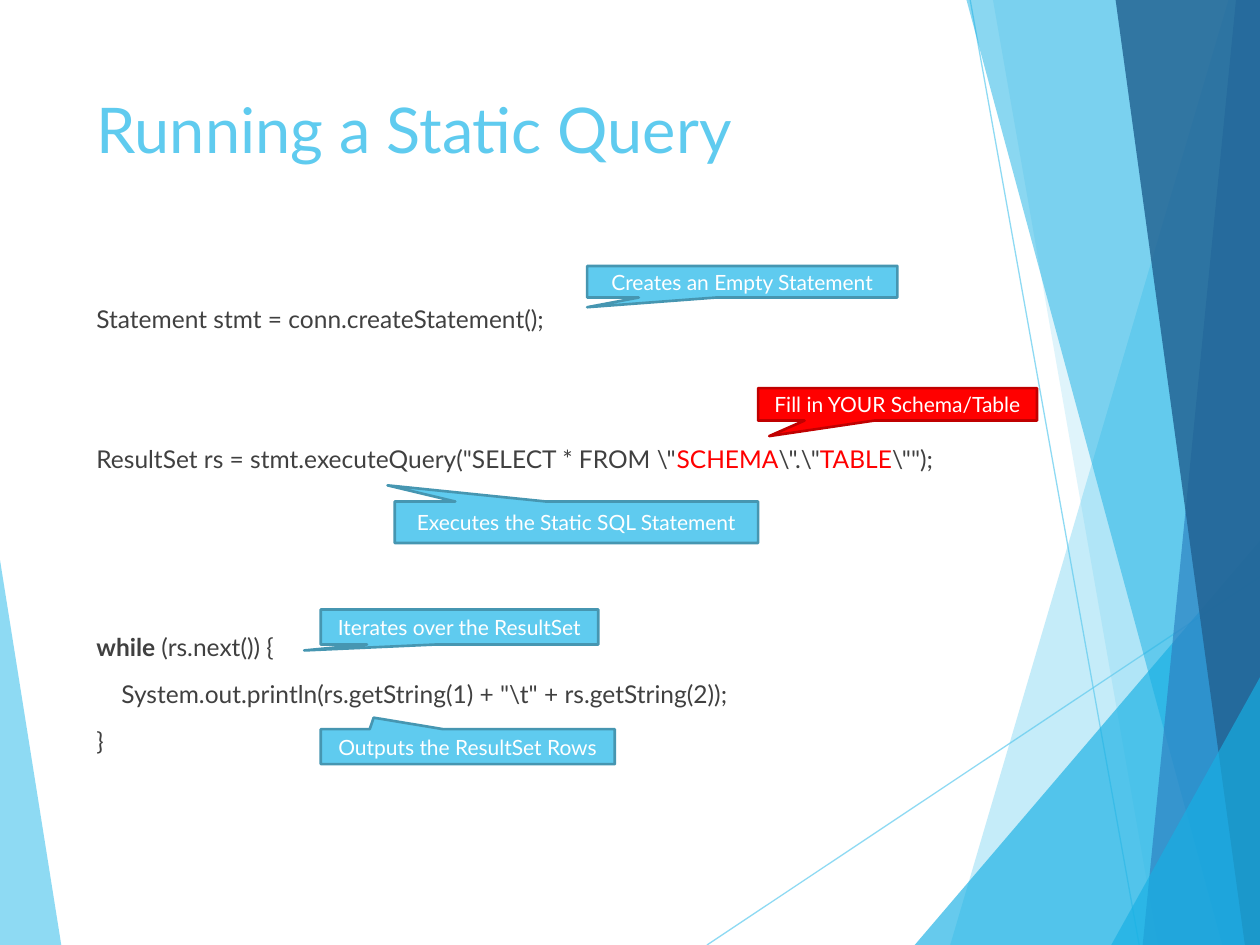
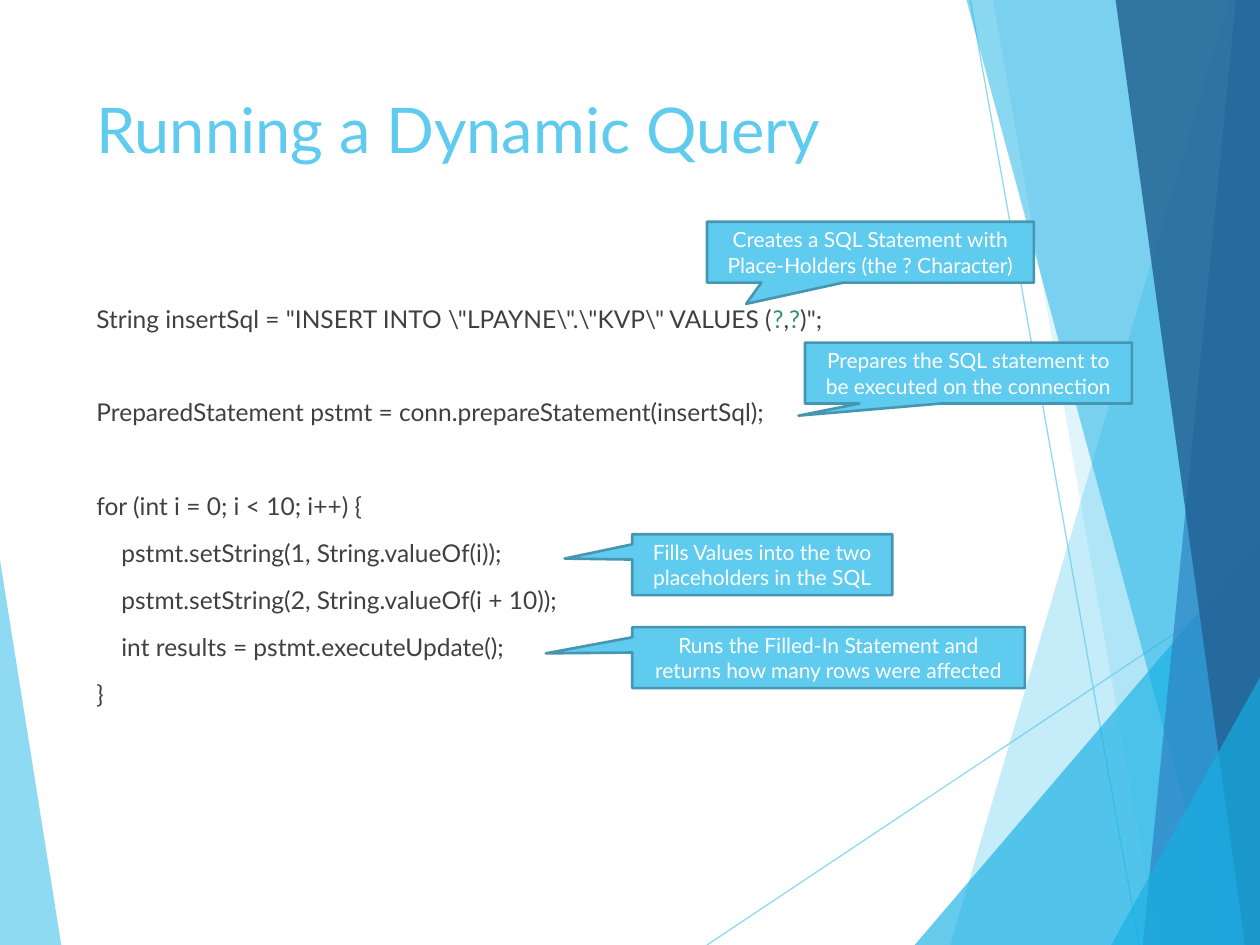
from pptx import Presentation
from pptx.dml.color import RGBColor
from pptx.enum.shapes import MSO_CONNECTOR, MSO_SHAPE
from pptx.enum.text import MSO_ANCHOR, MSO_AUTO_SIZE, PP_ALIGN
from pptx.oxml.ns import qn
from pptx.util import Pt
from lxml.etree import SubElement

COLORS = {
    "sky": "5FCBEF", "cyan": "17B0E4", "blue": "2E83C3", "navy": "226292",
    "sky_edge": "4696B1", "red": "FF0000", "red_edge": "C00000",
    "green": "2E946B", "code": "404040", "white": "FFFFFF",
}
RIGHT, BOTTOM = 720, 540
CODE_SIZE, CODE_GAP = 14, 10
CODE_PITCH = CODE_SIZE * 1.2 + CODE_GAP
INDENT = 14.3


def write(paragraph, text, size=CODE_SIZE, color="code", bold=False, align=PP_ALIGN.LEFT):
    paragraph.alignment = align
    run = paragraph.add_run()
    run.text = text
    run.font.name = "Lato"
    run.font.size = Pt(size)
    run.font.bold = bold
    run.font.color.rgb = RGBColor.from_string(COLORS[color])


def set_opacity(shape, percent):
    for color in shape._element.spPr.iter(qn("a:srgbClr")):
        SubElement(color, qn("a:alpha"), val=str(percent * 1000))


# Shared decoration, back to front: colour, opacity, corner points
RIGHT_EDGE = [(RIGHT, BOTTOM), (RIGHT, 0)]
FACETS = [
    ("sky", 70, [(0, 320), (35, BOTTOM), (0, BOTTOM)]),
    ("sky", 36, [(702, 0), (543, BOTTOM)] + RIGHT_EDGE),
    ("sky", 20, [(567.4, 0), (661.7, BOTTOM)] + RIGHT_EDGE),
    ("cyan", 66, [(522.7, BOTTOM), (RIGHT, 309), (RIGHT, BOTTOM)]),
    ("cyan", 50, [(552.3, 0), (698.4, BOTTOM)] + RIGHT_EDGE),
    ("blue", 70, [(706.3, 0), (653, BOTTOM)] + RIGHT_EDGE),
    ("navy", 82, [(637.5, 0), (711.4, BOTTOM)] + RIGHT_EDGE),
    ("cyan", 66, [(635, BOTTOM), (RIGHT, 387), (RIGHT, BOTTOM)]),
]
RAYS = [(404, BOTTOM, RIGHT, 329.5), (554.4, 0, 651, BOTTOM)]

# Code lines: blank lines above, indent level, runs
# Callouts: text, box (left, top, width, height), pointer tip, colour
RED, GREEN, BOLD = {"color": "red"}, {"color": "green"}, {"bold": True}
SLIDES = [
    {
        "title": "Running a Static Query",
        "code": [
            (0, 0, [("Statement stmt = conn.createStatement();", {})]),
            (2, 0, [('ResultSet rs = stmt.executeQuery("SELECT * FROM \\"', {}),
                    ("SCHEMA", RED), ('\\".\\"', {}), ("TABLE", RED), ('\\"");', {})]),
            (3, 0, [("while ", BOLD), ("(rs.next()) {", {})]),
            (0, 1, [('System.out.println(rs.getString(1) + "\\t" + rs.getString(2));', {})]),
            (0, 0, [("}", {})]),
        ],
        "callouts": [
            ("Creates an Empty Statement", (335.5, 152, 177.3, 18), (-0.5, 0.81), "sky"),
            ("Fill in YOUR Schema/Table", (433.2, 221.8, 159.4, 18.5), (-0.46, 0.98), "red"),
            ("Executes the Static SQL Statement", (225.6, 286.6, 207.6, 23.7), (-0.52, -0.89), "sky"),
            ("Iterates over the ResultSet", (183.3, 348.3, 158.6, 20), (-0.56, 0.67), "sky"),
            ("Outputs the ResultSet Rows", (183.3, 416.7, 168, 20), (-0.32, -0.83), "sky"),
        ],
    },
    {
        "title": "Running a Dynamic Query",
        "code": [
            (0, 0, [('String insertSql = "INSERT INTO \\"LPAYNE\\".\\"KVP\\" VALUES (', {}),
                    ("?", GREEN), (",", {}), ("?", GREEN), (')";', {})]),
            (1, 0, [("PreparedStatement pstmt = conn.prepareStatement(insertSql);", {})]),
            (1, 0, [("for (int i = 0; i < 10; i++) {", {})]),
            (0, 1, [("pstmt.setString(1, String.valueOf(i));", {})]),
            (0, 1, [("pstmt.setString(2, String.valueOf(i + 10));", {})]),
            (0, 1, [("int results = pstmt.executeUpdate();", {})]),
            (0, 0, [("}", {})]),
        ],
        "callouts": [
            ("Creates a SQL Statement with Place-Holders (the ? Character)",
             (404, 126.7, 186.8, 34.8), (-0.38, 0.85), "sky"),
            ("Prepares the SQL statement to be executed on the connection",
             (460, 195.8, 186.8, 34.8), (-0.52, 0.7), "sky"),
            ("Fills Values into the two placeholders in the SQL",
             (361.3, 305.3, 148.6, 34.8), (-0.76, -0.1), "sky"),
            ("Runs the Filled-In Statement and returns how many rows were affected",
             (361.3, 358.4, 224.4, 34.8), (-0.72, -0.07), "sky"),
        ],
    },
]

deck = Presentation()
deck.slide_width, deck.slide_height = Pt(RIGHT), Pt(BOTTOM)

for content in SLIDES:
    slide = deck.slides.add_slide(deck.slide_layouts[5])
    shapes = slide.shapes

    # Faceted edges and thin rays
    for number, (color, opacity, corners) in enumerate(FACETS):
        points = [(Pt(x), Pt(y)) for x, y in corners]
        outline = shapes.build_freeform(*points[0])
        outline.add_line_segments(points[1:], close=True)
        facet = outline.convert_to_shape()
        facet.shadow.inherit = False
        facet.fill.solid()
        facet.fill.fore_color.rgb = RGBColor.from_string(COLORS[color])
        facet.line.fill.background()
        set_opacity(facet, opacity)
        if number == 0:
            for ends in RAYS:
                ray = shapes.add_connector(MSO_CONNECTOR.STRAIGHT, *map(Pt, ends))
                ray.line.color.rgb = RGBColor.from_string(COLORS["sky"])
                ray.line.width = Pt(0.75)
                set_opacity(ray, 70)
                SubElement(ray._element.spPr, qn("a:effectLst"))

    # Title
    title = shapes.title
    title.left, title.top, title.width, title.height = map(Pt, (48, 48, 500, 104))
    title.text_frame.auto_size = MSO_AUTO_SIZE.NONE
    title.text_frame.vertical_anchor = MSO_ANCHOR.TOP
    write(title.text_frame.paragraphs[0], content["title"], size=36, color="sky")

    # Code listing
    listing = shapes.add_textbox(*map(Pt, (48, 170, 500, 305))).text_frame
    listing.word_wrap = True
    for number, (blank_lines, level, runs) in enumerate(content["code"]):
        line = listing.add_paragraph() if number else listing.paragraphs[0]
        line.space_before = Pt(CODE_GAP + blank_lines * CODE_PITCH if number else 0)
        if level:
            line._p.get_or_add_pPr().set("marL", str(Pt(level * INDENT)))
        for text, style in runs:
            write(line, text, **style)

    # Callouts
    for text, box, tip, color in content["callouts"]:
        callout = shapes.add_shape(MSO_SHAPE.RECTANGULAR_CALLOUT, *map(Pt, box))
        callout.adjustments[0], callout.adjustments[1] = tip
        callout.shadow.inherit = False
        callout.fill.solid()
        callout.fill.fore_color.rgb = RGBColor.from_string(COLORS[color])
        callout.line.color.rgb = RGBColor.from_string(COLORS[color + "_edge"])
        callout.line.width = Pt(1.5)
        callout.text_frame.word_wrap = True
        callout.text_frame.vertical_anchor = MSO_ANCHOR.MIDDLE
        write(callout.text_frame.paragraphs[0], text, size=12, color="white",
              align=PP_ALIGN.CENTER)

deck.save("out.pptx")
